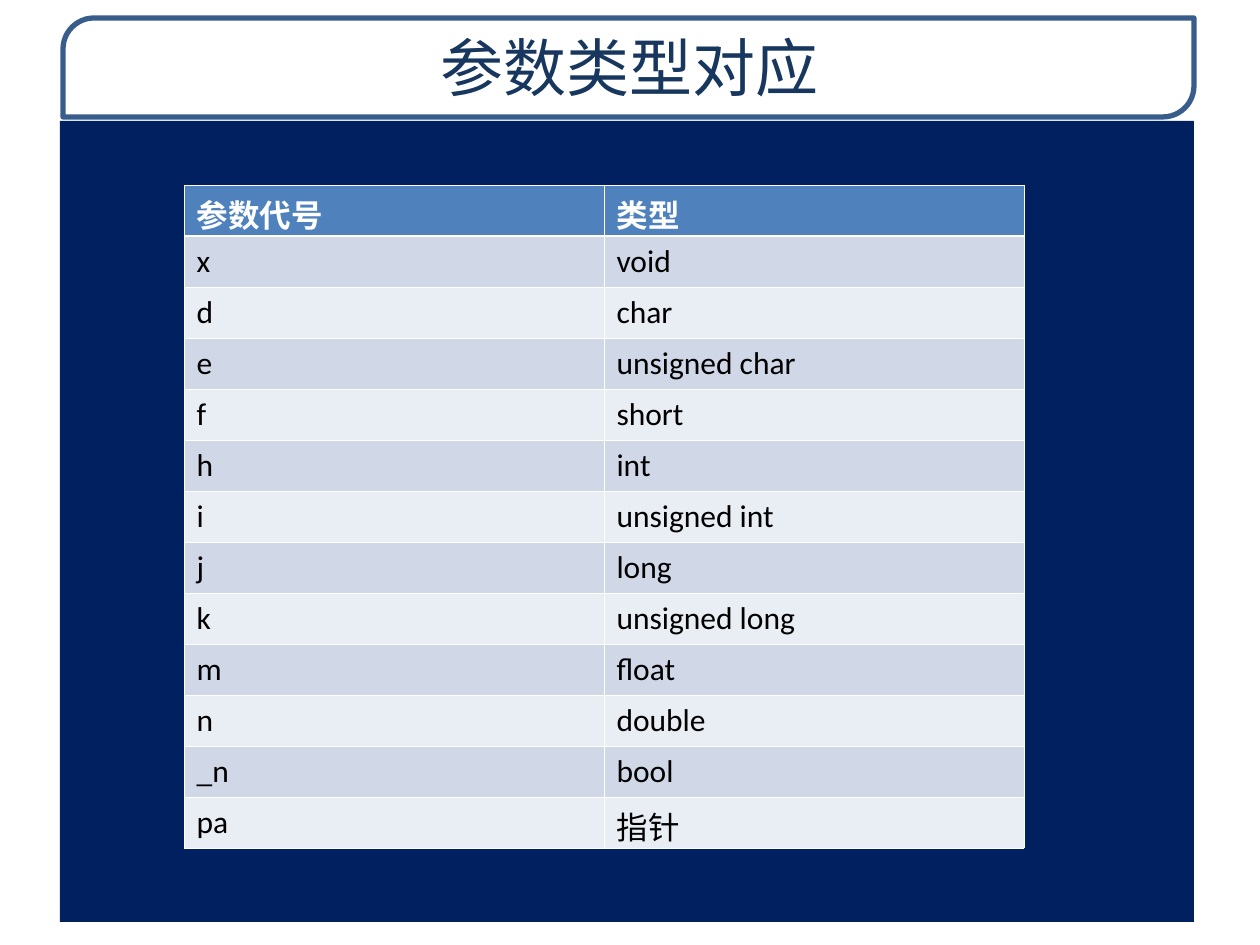
import pptx
import pptx.util
import pptx.dml.color
import pptx.enum.shapes
import pptx.enum.text
import pptx.oxml.ns
from lxml import etree

TITLE = "参数类型对应"
ROWS = [
    ("参数代号", "类型"),
    ("x", "void"),
    ("d", "char"),
    ("e", "unsigned char"),
    ("f", "short"),
    ("h", "int"),
    ("i", "unsigned int"),
    ("j", "long"),
    ("k", "unsigned long"),
    ("m", "float"),
    ("n", "double"),
    ("_n", "bool"),
    ("pa", "指针"),
]
COLORS = {
    "white": "FFFFFF", "black": "000000", "title": "17375E", "frame": "385D8A",
    "panel": "002060", "header": "4F81BD", "odd": "D0D8E8", "even": "E9EDF4",
}
CJK_FONT = "Noto Sans CJK SC"
SCALE = 914400 // 126
FRAME = (63, 18, 1131, 99)
TITLE_BOX = (64, 18, 1130, 96)
PANEL = (60, 121, 1134, 801)
TABLE_LEFT, TABLE_TOP, COLUMN_WIDTH, ROW_HEIGHT = 184, 185, 420, 51
CORNER = 31
THIN, THICK = 0.45, 1.47


def px(*lengths):
    return [pptx.util.Emu(length * SCALE) for length in lengths]


def rgb(name):
    return pptx.dml.color.RGBColor.from_string(COLORS[name])


def add_child(parent, tag, **values):
    return etree.SubElement(parent, pptx.oxml.ns.qn(tag), **values)


def write(frame, text, color, **style):
    para = frame.paragraphs[0]
    span = para.add_run()
    span.text = text
    for name, value in style.items():
        setattr(span.font, name, value)
    span.font.color.rgb = rgb(color)
    add_child(span.font._element, "a:ea", typeface=CJK_FONT)
    return para


def add_border(cell, side, width):
    line = add_child(cell._tc.get_or_add_tcPr(), "a:" + side, w=str(pptx.util.Pt(width)))
    add_child(add_child(line, "a:solidFill"), "a:srgbClr", val=COLORS["white"])


def add_frame(slide):
    kind = pptx.enum.shapes.MSO_SHAPE.ROUND_2_DIAG_RECTANGLE
    frame = slide.shapes.add_shape(kind, *px(*FRAME))
    frame.shadow.inherit = False
    frame.adjustments[0] = CORNER / FRAME[3]
    frame.adjustments[1] = 0
    frame.fill.solid()
    frame.fill.fore_color.rgb = rgb("white")
    fill_color = frame._element.spPr.find(".//" + pptx.oxml.ns.qn("a:srgbClr"))
    add_child(fill_color, "a:alpha", val="85000")
    frame.line.color.rgb = rgb("frame")
    frame.line.width = pptx.util.Pt(3)


def add_title(slide):
    box = slide.shapes.add_textbox(*px(*TITLE_BOX))
    box.text_frame.word_wrap = True
    box.text_frame.vertical_anchor = pptx.enum.text.MSO_ANCHOR.MIDDLE
    para = write(box.text_frame, TITLE, "title", name=CJK_FONT, size=pptx.util.Pt(36))
    para.alignment = pptx.enum.text.PP_ALIGN.CENTER


def add_panel(slide):
    panel = slide.shapes.add_shape(pptx.enum.shapes.MSO_SHAPE.RECTANGLE, *px(*PANEL))
    panel.shadow.inherit = False
    panel.fill.solid()
    panel.fill.fore_color.rgb = rgb("panel")
    panel.line.fill.background()


def add_type_table(slide):
    count = len(ROWS[0])
    area = px(TABLE_LEFT, TABLE_TOP, COLUMN_WIDTH * count, ROW_HEIGHT * len(ROWS))
    table = slide.shapes.add_table(len(ROWS), count, *area).table
    for row_index, row in enumerate(ROWS):
        table.rows[row_index].height = px(ROW_HEIGHT)[0]
        header = row_index == 0
        fill = "header" if header else ("even", "odd")[row_index % 2]
        for column_index, text in enumerate(row):
            cell = table.cell(row_index, column_index)
            write(cell.text_frame, text, "white" if header else "black",
                  name="Calibri", size=pptx.util.Pt(18), bold=header)
            add_border(cell, "lnL", THIN)
            add_border(cell, "lnR", THIN)
            add_border(cell, "lnT", THICK if row_index == 1 else THIN)
            add_border(cell, "lnB", THICK if header else THIN)
            cell.fill.solid()
            cell.fill.fore_color.rgb = rgb(fill)


def main():
    deck = pptx.Presentation()
    deck.slide_width, deck.slide_height = px(1260, 945)
    page = deck.slides.add_slide(deck.slide_layouts[6])
    add_frame(page)
    add_title(page)
    add_panel(page)
    add_type_table(page)
    deck.save("out.pptx")


if __name__ == "__main__":
    main()
